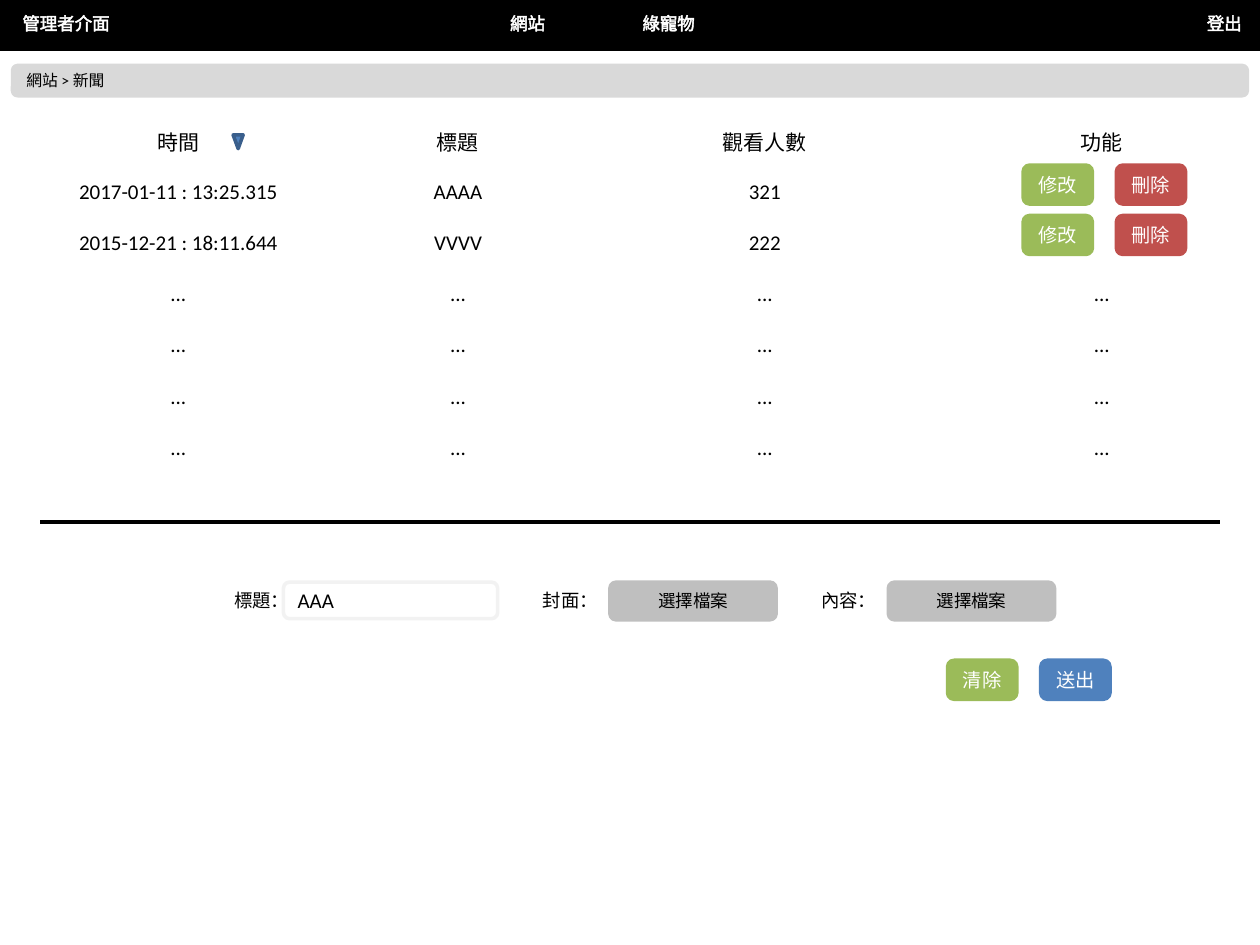
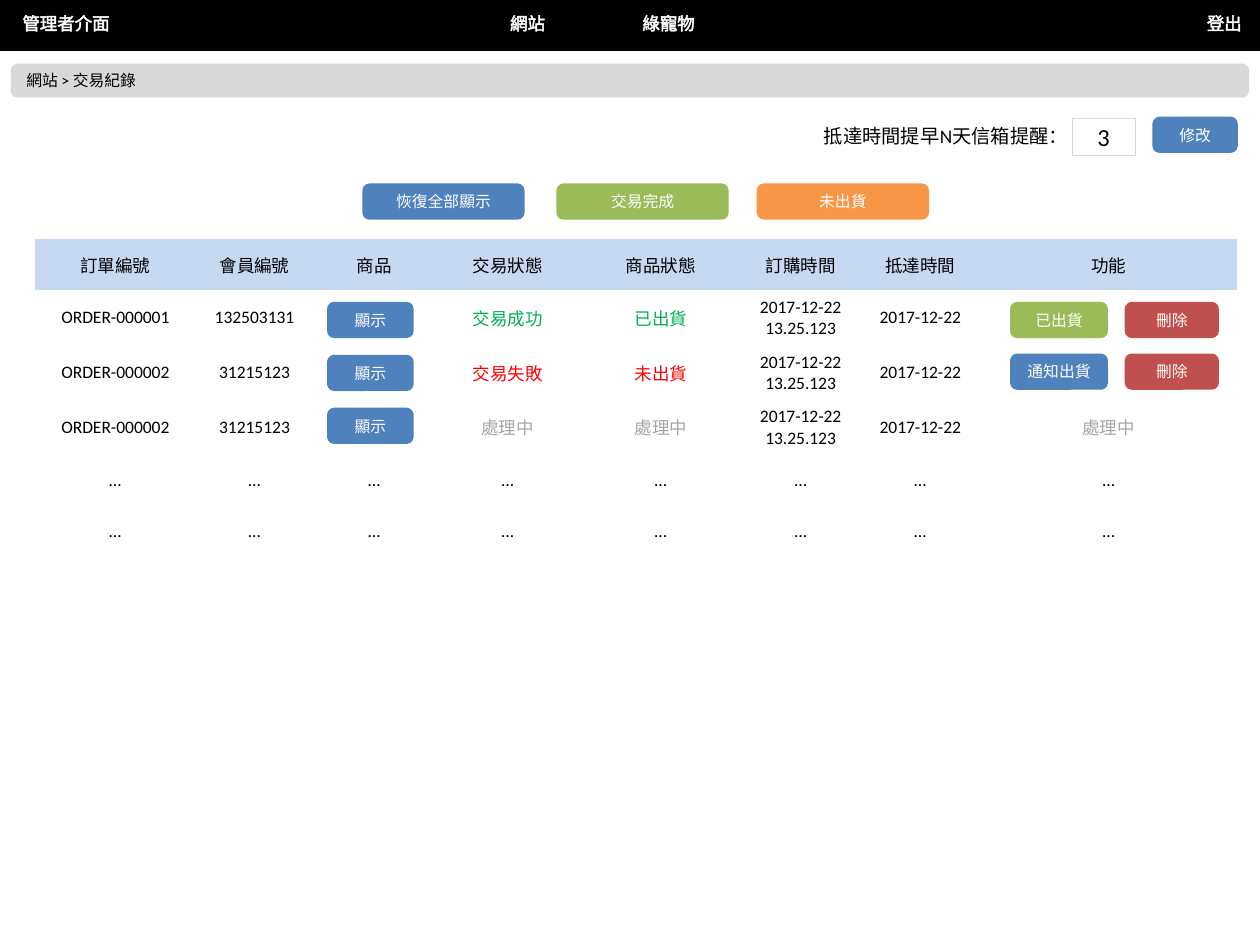
from lxml import etree
from pptx import Presentation
from pptx.dml.color import RGBColor
from pptx.enum import shapes, text
from pptx.oxml import ns
from pptx.util import Inches, Pt

FONT = "Calibri"
BLACK, WHITE, GREY = "000000", "FFFFFF", "A6A6A6"
GREEN, RED, BLUE, ORANGE = "9BBB59", "C0504D", "4F81BD", "F79646"
BAR, PICK, FIELD, HEAD = "D9D9D9", "BFBFBF", "F2F2F2", "C6D9F1"
STATE = {"交易成功": "00B050", "已出貨": "00B050", "交易失敗": "FF0000",
         "未出貨": "FF0000", "處理中": GREY}
ROW = Inches(2.84 / 7)
PLAIN = "{2D5ABB26-0587-4C30-8999-92F81FD0307C}"  # table style without grid
LEFT, MID = text.PP_ALIGN.LEFT, text.PP_ALIGN.CENTER
KIND = shapes.MSO_SHAPE


def rgb(code):
    return RGBColor.from_string(code)


def write(frame, words, size, color, align=LEFT):
    frame.text = words
    for para in frame.paragraphs:
        para.alignment = align
        look = {"name": FONT, "size": Pt(size)}
        for part in [para, *para.runs]:
            for key, value in look.items():
                setattr(part.font, key, value)
            part.font.color.rgb = rgb(color)


def label(slide, box, words, size, color=BLACK, align=LEFT, wrap=True):
    item = slide.shapes.add_textbox(*map(Inches, box))
    frame = item.text_frame
    write(frame, words, size, color, align)
    form = {"word_wrap": wrap, "auto_size": text.MSO_AUTO_SIZE.SHAPE_TO_FIT_TEXT}
    for key, value in form.items():
        setattr(frame, key, value)
    return item


def block(slide, box, fill, words="", size=9, color=WHITE, align=MID,
          edge=None, width=2, kind=KIND.ROUNDED_RECTANGLE):
    item = slide.shapes.add_shape(kind, *map(Inches, box))
    item.shadow.inherit = False
    item.fill.solid()
    item.fill.fore_color.rgb = rgb(fill)
    item.line.color.rgb = rgb(edge or fill)
    item.line.width = Pt(width)
    if words:
        item.text_frame.vertical_anchor = text.MSO_ANCHOR.MIDDLE
        write(item.text_frame, words, size, color, align)
    return item


def grid(slide, left, top, cols, rows, size, head=None):
    frame = slide.shapes.add_table(len(rows), len(cols), Inches(left), Inches(top),
                                   Inches(sum(cols)), ROW * len(rows))
    table = frame.table
    table.first_row = table.horz_banding = False
    table._tbl.tblPr.find(ns.qn("a:tableStyleId")).text = PLAIN
    for col, width in zip(table.columns, cols):
        col.width = Inches(width)
    for r, row in enumerate(rows):
        table.rows[r].height = ROW
        for c, words in enumerate(row):
            cell = table.cell(r, c)
            cell.vertical_anchor = text.MSO_ANCHOR.MIDDLE
            if head and r == 0:
                cell.fill.solid()
                cell.fill.fore_color.rgb = rgb(head)
            else:
                cell.fill.background()
            write(cell.text_frame, words, size, STATE.get(words, BLACK), MID)


def outline(item):
    """Give the text a thin white outline."""
    for run in item.text_frame.paragraphs[0].runs:
        line = etree.Element(ns.qn("a:ln"), w=str(Pt(0.75)))
        fill = etree.SubElement(line, ns.qn("a:solidFill"))
        etree.SubElement(fill, ns.qn("a:srgbClr"), val=WHITE)
        run.font._element.insert(0, line)


def frame_page(deck, trail):
    """Add a slide with the top menu and the breadcrumb bar."""
    slide = deck.slides.add_slide(deck.slide_layouts[6])
    block(slide, (0, 0, 10, 0.39), BLACK, kind=KIND.RECTANGLE)
    menu = [("管理者介面", 0.08, 0.9), ("登出", 9.48, 0.48),
            ("網站", 3.95, 0.48), ("綠寵物", 5, 0.62)]
    for words, x, width in menu:
        outline(label(slide, (x, 0.05, width, 0.27), words, 10, WHITE, wrap=False))
    block(slide, (0.1, 0.52, 9.8, 0.24), BAR, "網站 > " + trail, 9, BLACK, LEFT)
    return slide


def pair(slide, x, y, first, second):
    """Place two small buttons side by side."""
    for i, (words, fill) in enumerate((first, second)):
        block(slide, (x + i * 0.74, y, 0.55, 0.31), fill, words, 11)


def news_list(slide, x, y):
    rows = [["時間", "標題", "觀看人數", "功能"],
            ["2017-01-11 : 13:25.315", "AAAA", "321", ""],
            ["2015-12-21 : 18:11.644", "VVVV", "222", ""]]
    rows += [["..."] * 4] * 4
    grid(slide, x, y, [2.63, 1.81, 3.06, 2.29], rows, 12)
    for i in range(2):
        pair(slide, x + 8.02, y + 0.39 + i * 0.4, ("修改", GREEN), ("刪除", RED))
    # Sort marker
    mark = block(slide, (x + 1.75, y + 0.15, 0.08, 0.11), BLUE,
                 edge="3A5F8C", kind=KIND.ISOSCELES_TRIANGLE)
    mark.rotation = 180


def news_form(slide, x, y):
    label(slide, (x, y + 0.01, 0.63, 0.28), "標題：", 10.5, align=MID)
    block(slide, (x + 0.56, y, 1.7, 0.29), WHITE, "AAA", 12, BLACK, LEFT, FIELD)
    for i, words in enumerate(("封面：", "內容：")):
        at = x + 2.52 + i * 2.21
        label(slide, (at, y + 0.01, 0.63, 0.28), words, 10.5)
        block(slide, (at + 0.63, y, 1.32, 0.3), PICK, "選擇檔案", 10, BLACK)
    pair(slide, x + 5.83, y + 0.62, ("清除", GREEN), ("送出", BLUE))


def rule(slide, x, y, width):
    line = slide.shapes.add_connector(shapes.MSO_CONNECTOR.STRAIGHT, Inches(x),
                                      Inches(y), Inches(x + width), Inches(y))
    line.line.color.rgb = rgb(BLACK)
    line.line.width = Pt(2.25)
    etree.SubElement(line._element.spPr, ns.qn("a:effectLst"))


def alert_bar(slide, x, y):
    label(slide, (x, y, 2.15, 0.29), "抵達時間提早N天信箱提醒：", 11)
    block(slide, (x + 2.07, y, 0.5, 0.29), WHITE, "3", 14, BLACK,
          edge=BAR, width=0.5, kind=KIND.RECTANGLE)
    block(slide, (x + 2.72, y, 0.65, 0.26), BLUE, "修改")


def filters(slide, x, y):
    for words, dx, width, fill in [("恢復全部顯示", 0, 1.26, BLUE),
                                   ("交易完成", 1.54, 1.34, GREEN),
                                   ("未出貨", 3.13, 1.34, ORANGE)]:
        block(slide, (x + dx, y, width, 0.26), fill, words)


def orders(slide, x, y):
    when, day = "2017-12-22\n13.25.123", "2017-12-22"
    rows = [["訂單編號", "會員編號", "商品", "交易狀態", "商品狀態",
             "訂購時間", "抵達時間", "功能"]]
    for code, user, deal, goods, task in [
            ("ORDER-000001", "132503131", "交易成功", "已出貨", ""),
            ("ORDER-000002", "31215123", "交易失敗", "未出貨", ""),
            ("ORDER-000002", "31215123", "處理中", "處理中", "處理中")]:
        rows.append([code, user, "", deal, goods, when, day, task])
    rows += [["…"] * 8] * 2
    cols = [1.27, 0.94, 0.96, 1.16, 1.27, 0.95, 0.95, 2.04]
    grid(slide, x, y, cols, rows, 10, HEAD)
    # Row buttons
    for i in range(3):
        block(slide, (x + 2.33, y + 0.51 + i * 0.42, 0.66, 0.26), BLUE, "顯示")
    for i, (words, fill) in enumerate([("已出貨", GREEN), ("通知出貨", BLUE)]):
        top = y + 0.51 + i * 0.41
        block(slide, (x + 7.75, top, 0.75, 0.26), fill, words)
        block(slide, (x + 8.66, top, 0.72, 0.26), RED, "刪除")


def main():
    deck = Presentation()
    deck.slide_width, deck.slide_height = Inches(10), Inches(7.5)
    # News page
    news = frame_page(deck, "新聞")
    news_list(news, 0.1, 0.92)
    rule(news, 0.32, 4.14, 9.36)
    news_form(news, 1.69, 4.62)
    # Order page
    deals = frame_page(deck, "交易紀錄")
    alert_bar(deals, 6.44, 0.94)
    filters(deals, 2.89, 1.47)
    orders(deals, 0.28, 1.9)
    deck.save("out.pptx")


if __name__ == "__main__":
    main()
